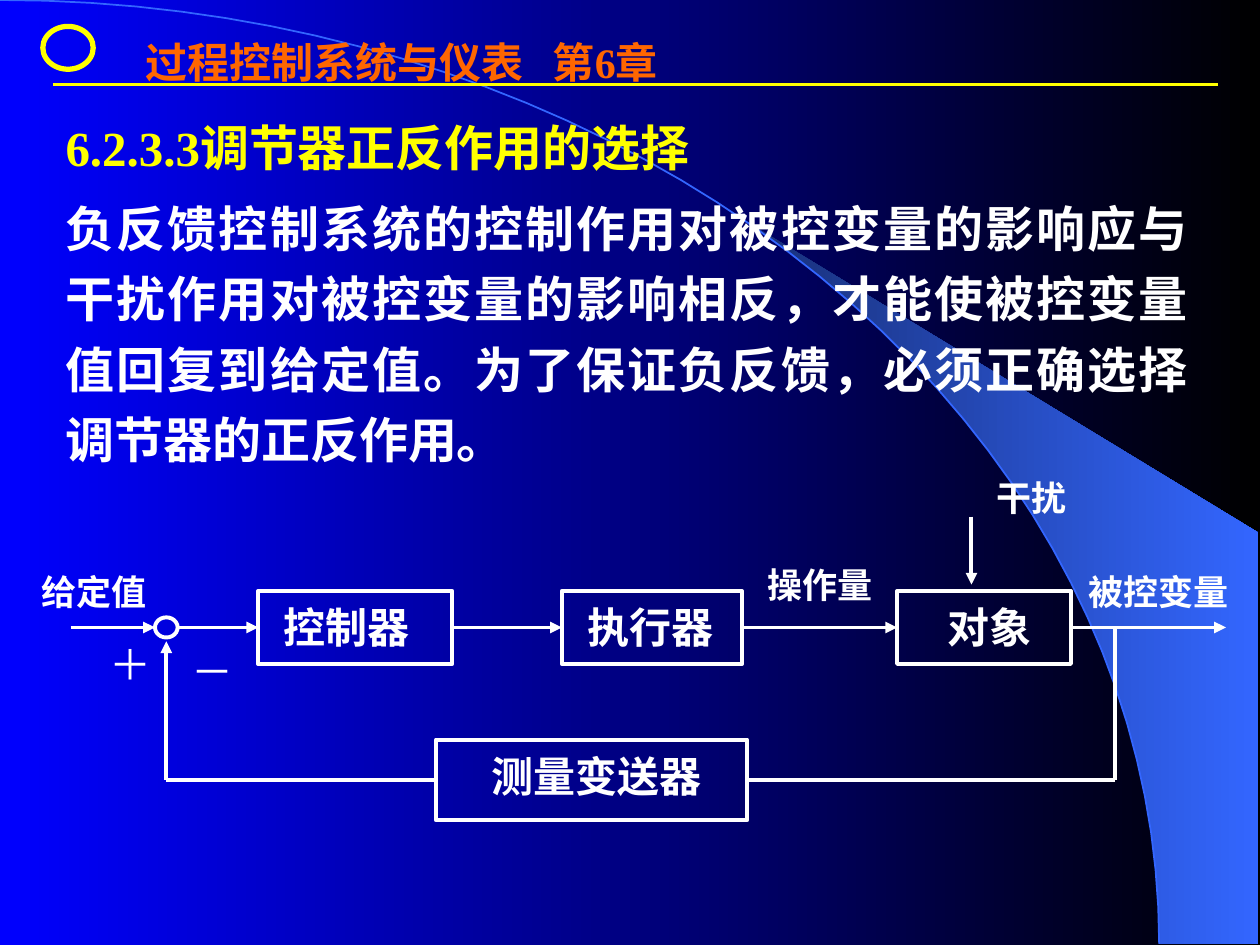
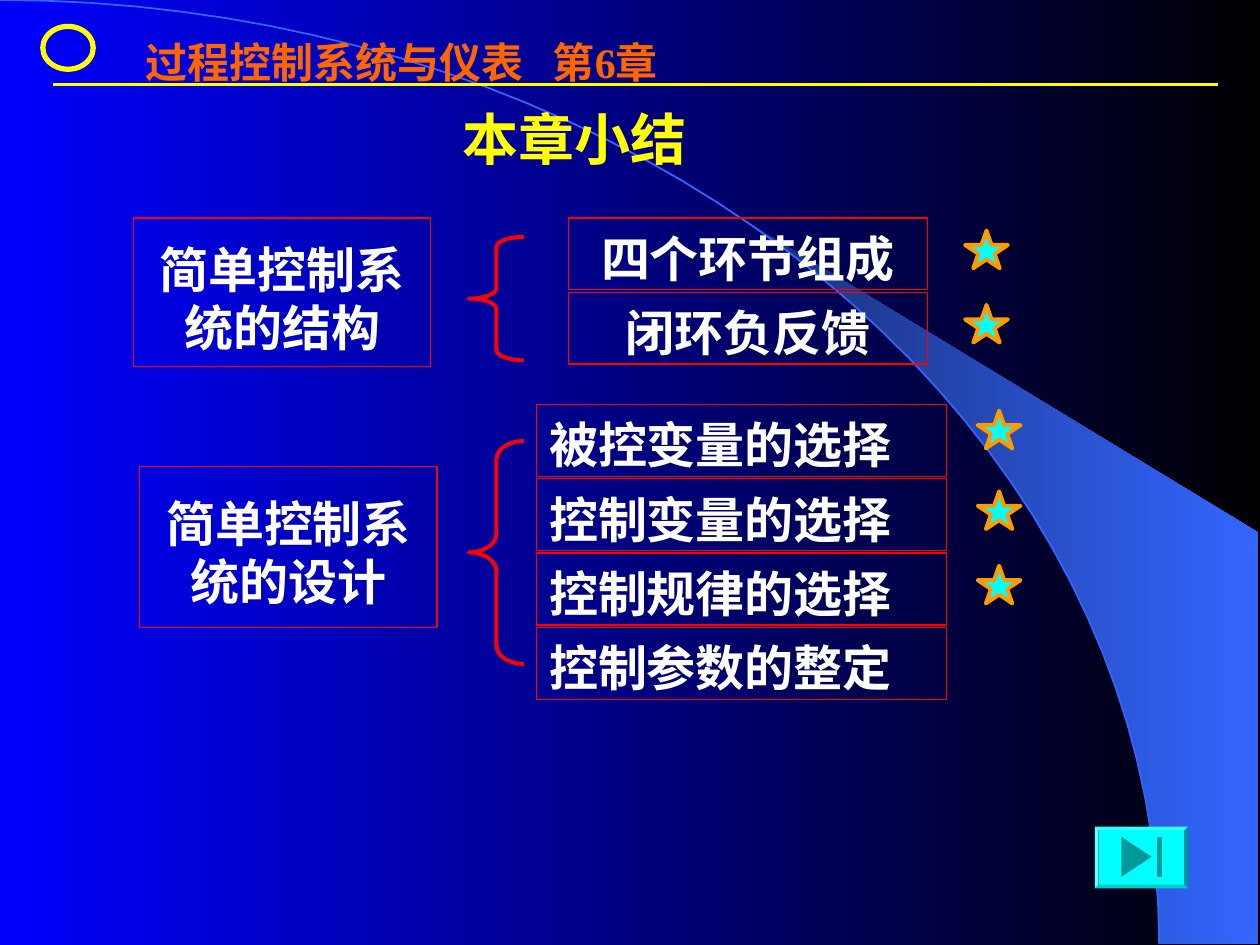
from math import asin, cos, pi, sin

from lxml import etree
from pptx import Presentation
from pptx.dml.color import RGBColor
from pptx.enum.shapes import MSO_CONNECTOR, MSO_SHAPE
from pptx.enum.text import MSO_ANCHOR, MSO_AUTO_SIZE, PP_ALIGN
from pptx.oxml.ns import qn
from pptx.shapes.connector import Connector
from pptx.util import Inches, Pt

LATIN, CJK = "Times New Roman", "Noto Sans CJK SC"
WHITE, YELLOW, RED, CYAN = "FFFFFF", "FFFF00", "FF0000", "00FFFF"
ORANGE, BLUE, TEAL = "FF6600", "3366FF", "009999"
rgb = RGBColor.from_string


def style(shape, line=None, width=1, fill=None):
    """Set outline and fill (none where no colour is given), without shadow."""
    if line:
        shape.line.color.rgb = rgb(line)
        shape.line.width = Pt(width)
    else:
        shape.line.fill.background()
    if isinstance(shape, Connector):
        etree.SubElement(shape.element.spPr, qn("a:effectLst"))
        return
    shape.shadow.inherit = False
    if fill:
        shape.fill.solid()
        shape.fill.fore_color.rgb = rgb(fill)
    else:
        shape.fill.background()


def write(shape, text, size, color=WHITE, bold=True, align=PP_ALIGN.LEFT,
          anchor=MSO_ANCHOR.TOP, left=0.1, spacing=1.18):
    """Put one formatted paragraph in a shape; spacing is in ems."""
    tf = shape.text_frame
    tf.word_wrap = True
    tf.auto_size = MSO_AUTO_SIZE.NONE
    tf.vertical_anchor = anchor
    tf.margin_left, tf.margin_right = Inches(left), Inches(0.1)
    tf.margin_top, tf.margin_bottom = Inches(0.09), 0
    p = tf.paragraphs[0]
    p.alignment = align
    p.line_spacing = Pt(size * spacing)
    p.space_before = Pt(0)
    r = p.add_run()
    r.text = text
    r.font.size = Pt(size)
    r.font.bold = bold
    r.font.color.rgb = rgb(color)
    r.font.name = LATIN
    etree.SubElement(r._r.get_or_add_rPr(), qn("a:ea"), typeface=CJK)
    return p


prs = Presentation()
prs.slide_width, prs.slide_height = Inches(10), Inches(7.5)
master = prs.slide_master
selection = prs.slides.add_slide(prs.slide_layouts[1])
summary = prs.slides.add_slide(prs.slide_layouts[5])

# Shared background and heading, kept on the slide master
bg = master.background.fill
bg.gradient()
bg.gradient_angle = 0
for stop, color in zip(bg.gradient_stops, ("0000FF", "000000")):
    stop.color.rgb = rgb(color)

s = selection
ARC_W, ARC_H = 9.2, 7.49
wedge_start = asin(5.89 / ARC_W)
outlines = []
for start, corners in ((wedge_start, [(9.99, 7.49), (9.99, 4.23)]), (0, [])):
    angles = [start + (pi / 2 - start) * i / 40 for i in range(41)]
    points = [(ARC_W * sin(a), ARC_H * (1 - cos(a))) for a in angles] + corners
    points = [(Inches(x), Inches(y)) for x, y in points]
    builder = s.shapes.build_freeform(*points[0])
    builder.add_line_segments(points[1:], close=bool(corners))
    outlines.append(builder.convert_to_shape())
wedge, arc = outlines
style(wedge)
wedge.fill.gradient()
wedge.fill.gradient_angle = 0
for stop, color in zip(wedge.fill.gradient_stops, ("182F76", BLUE)):
    stop.color.rgb = rgb(color)
style(arc, BLUE, 1)

emblem = s.shapes.add_shape(MSO_SHAPE.OVAL, Inches(0.34), Inches(0.21),
                            Inches(0.4), Inches(0.34))
style(emblem, YELLOW, 3)
rule = s.shapes.add_connector(MSO_CONNECTOR.STRAIGHT, Inches(0.42), Inches(0.67),
                              Inches(9.67), Inches(0.67))
style(rule, YELLOW, 1.5)
heading = s.shapes.add_textbox(Inches(1.06), Inches(0.21), Inches(4.8), Inches(0.5))
p = write(heading, "过程控制系统与仪表\t第6章", 24, ORANGE)
tabs = etree.SubElement(p._p.get_or_add_pPr(), qn("a:tabLst"))
etree.SubElement(tabs, qn("a:tab"), pos=str(Inches(3.23)), algn="l")

for number, shape in enumerate((wedge, arc, emblem, rule, heading), 100):
    shape.element.xpath(".//p:cNvPr")[0].set("id", str(number))
    master.shapes.element.append(shape.element)

# Slide 1: choosing the controller action
title, body = s.placeholders
for holder, y, h in ((title, 0.85, 0.5), (body, 1.39, 2.4)):
    holder.left, holder.top = Inches(0.42), Inches(y)
    holder.width, holder.height = Inches(9.11), Inches(h)
write(title, "6.2.3.3调节器正反作用的选择", 28, YELLOW)
p = write(body, "负反馈控制系统的控制作用对被控变量的影响应与干扰作用对被控变量的影响相反，"
          "才能使被控变量值回复到给定值。为了保证负反馈，必须正确选择调节器的正反作用。",
          28, align=PP_ALIGN.JUSTIFY, spacing=1.44)
pPr = p._p.get_or_add_pPr()
pPr.set("marL", "0")
pPr.set("indent", "0")
etree.SubElement(pPr, qn("a:buNone"))

blocks = []
for text, x, y, w, h, left in (
    ("控制器", 2.05, 4.69, 1.54, 0.58, 0.2),
    ("执行器", 4.46, 4.69, 1.43, 0.58, 0.2),
    ("对象", 7.12, 4.69, 1.38, 0.58, 0.4),
    ("测量变送器", 3.46, 5.87, 2.47, 0.64, 0.44),
):
    block = s.shapes.add_shape(MSO_SHAPE.RECTANGLE, Inches(x), Inches(y),
                               Inches(w), Inches(h))
    style(block, WHITE, 2.25)
    write(block, text, 24, left=left)
    blocks.append(block)
controller, actuator, plant, transmitter = blocks
junction = s.shapes.add_shape(MSO_SHAPE.OVAL, Inches(1.23), Inches(4.9),
                              Inches(0.18), Inches(0.16))
style(junction, WHITE, 2.25)

MAIN_Y, FEEDBACK_Y, SUM_X, TAP_X = 4.98, 6.19, 1.32, 8.85
TOP, LEFT, BOTTOM, RIGHT = range(4)
for x1, y1, x2, y2, begin, end, arrow in (
    (0.56, MAIN_Y, 1.23, MAIN_Y, None, None, True),
    (1.42, MAIN_Y, 2.05, MAIN_Y, None, (controller, LEFT), True),
    (3.59, MAIN_Y, 4.46, MAIN_Y, (controller, RIGHT), (actuator, LEFT), True),
    (5.89, MAIN_Y, 7.12, MAIN_Y, (actuator, RIGHT), (plant, LEFT), True),
    (8.5, MAIN_Y, 9.73, MAIN_Y, (plant, RIGHT), None, True),
    (7.71, 4.1, 7.71, 4.64, None, None, True),
    (TAP_X, MAIN_Y, TAP_X, FEEDBACK_Y, None, None, False),
    (TAP_X, FEEDBACK_Y, 5.93, FEEDBACK_Y, None, (transmitter, RIGHT), False),
    (3.46, FEEDBACK_Y, SUM_X, FEEDBACK_Y, (transmitter, LEFT), None, False),
    (SUM_X, FEEDBACK_Y, SUM_X, 5.09, None, None, True),
):
    signal = s.shapes.add_connector(MSO_CONNECTOR.STRAIGHT, Inches(x1), Inches(y1),
                                    Inches(x2), Inches(y2))
    style(signal, WHITE, 2.25)
    if begin:
        signal.begin_connect(*begin)
    if end:
        signal.end_connect(*end)
    if arrow:
        etree.SubElement(signal.line._get_or_add_ln(), qn("a:tailEnd"), type="triangle")

for text, x, y, w, size, bold in (
    ("给定值", 0.23, 4.44, 1.1, 20, True),
    ("操作量", 5.99, 4.39, 1.1, 20, True),
    ("被控变量", 8.54, 4.44, 1.46, 20, True),
    ("干扰", 7.81, 3.7, 0.98, 20, True),
    ("＋", 0.77, 4.98, 0.55, 24, False),
    ("－", 1.42, 5.04, 0.55, 24, False),
):
    label = s.shapes.add_textbox(Inches(x), Inches(y), Inches(w), Inches(0.45))
    write(label, text, size, bold=bold)

# Slide 2: chapter summary
s = summary
title = s.shapes.title
title.left, title.top = Inches(3.57), Inches(0.75)
title.width, title.height = Inches(2.58), Inches(0.64)
write(title, "本章小结", 32, YELLOW)

ROW_STEP = 0.59
structure = ["四个环节组成", "闭环负反馈"]
design = ["被控变量的选择", "控制变量的选择", "控制规律的选择", "控制参数的整定"]
cards = [
    ("简单控制系统的结构", 1.06, 1.73, 2.36, 1.18, PP_ALIGN.CENTER, MSO_ANCHOR.MIDDLE),
    ("简单控制系统的设计", 1.11, 3.7, 2.36, 1.28, PP_ALIGN.CENTER, MSO_ANCHOR.MIDDLE),
]
for items, x, y, w, align in ((structure, 4.51, 1.73, 2.85, PP_ALIGN.CENTER),
                              (design, 4.26, 3.21, 3.25, PP_ALIGN.LEFT)):
    cards += [(text, x, y + i * ROW_STEP, w, 0.57, align, MSO_ANCHOR.TOP)
              for i, text in enumerate(items)]
for text, x, y, w, h, align, anchor in cards:
    card = s.shapes.add_shape(MSO_SHAPE.RECTANGLE, Inches(x), Inches(y),
                              Inches(w), Inches(h))
    style(card, RED, 0.75)
    write(card, text, 28, align=align, anchor=anchor)

BRACE_W = 0.44
for y, h in ((1.88, 0.98), (3.5, 1.77)):
    brace = s.shapes.add_shape(MSO_SHAPE.LEFT_BRACE, Inches(3.72), Inches(y),
                               Inches(BRACE_W), Inches(h))
    brace.adjustments[0] = h / 12 / BRACE_W
    style(brace, RED, 2.25)

for x, y in ((7.66, 1.83), (7.66, 2.42), (7.76, 3.26), (7.76, 3.9), (7.76, 4.49)):
    star = s.shapes.add_shape(MSO_SHAPE.STAR_5_POINT, Inches(x), Inches(y),
                              Inches(0.34), Inches(0.3))
    style(star, "FF9900", 2.25, CYAN)

button = s.shapes.add_shape(MSO_SHAPE.BEVEL, Inches(8.69), Inches(6.56),
                            Inches(0.74), Inches(0.49))
button.adjustments[0] = 0.06
style(button, fill=CYAN)
for corners in ([(8.9, 6.64), (9.14, 6.8), (8.9, 6.96)],
                [(9.18, 6.64), (9.22, 6.64), (9.22, 6.96), (9.18, 6.96)]):
    points = [(Inches(x), Inches(y)) for x, y in corners]
    builder = s.shapes.build_freeform(*points[0])
    builder.add_line_segments(points[1:])
    style(builder.convert_to_shape(), fill=TEAL)

prs.save("out.pptx")
